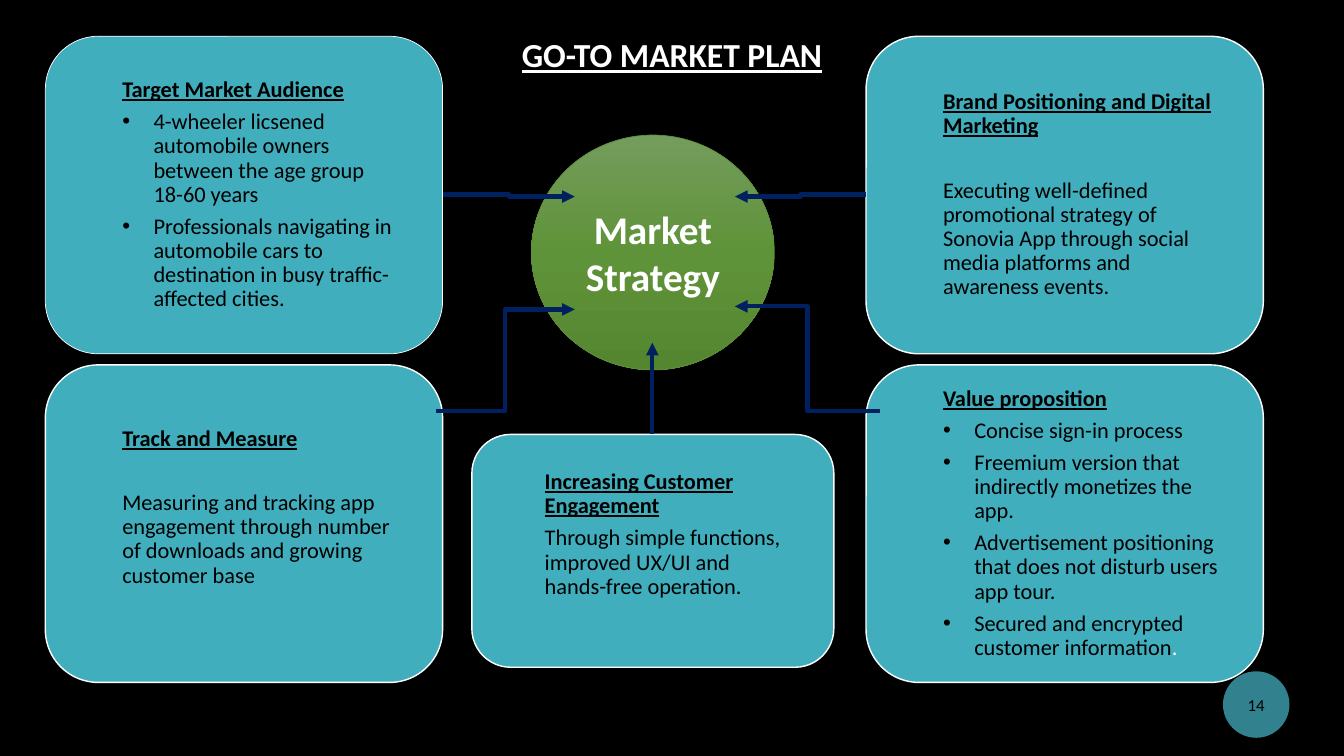
from copy import deepcopy
from dataclasses import dataclass

from lxml import etree
from pptx import Presentation
from pptx.dml.color import RGBColor as RGB
from pptx.enum.shapes import MSO_CONNECTOR as CONN, MSO_SHAPE as SHAPE
from pptx.enum.text import MSO_ANCHOR as ANCHOR, PP_ALIGN as ALIGN
from pptx.oxml.ns import qn
from pptx.util import Inches, Pt


@dataclass(frozen=True)
class Theme:
    font: str = "Calibri"
    background: RGB = RGB(0x00, 0x00, 0x00)
    dark: RGB = RGB(0x00, 0x00, 0x00)
    light: RGB = RGB(0xFF, 0xFF, 0xFF)
    card: RGB = RGB(0x41, 0xAE, 0xBD)
    badge: RGB = RGB(0x31, 0x82, 0x8E)
    arrow: RGB = RGB(0x00, 0x20, 0x60)
    hub_line: RGB = RGB(0x60, 0x8F, 0x3D)
    hub_stops: tuple = (
        (0, RGB(0x74, 0x9C, 0x5C)),
        (0.5, RGB(0x5F, 0x93, 0x39)),
        (1, RGB(0x54, 0x86, 0x2F)),
    )
    title: int = 24
    hub: int = 28
    body: int = 16
    number: int = 12


theme = Theme()


def add_run(p, text, size, color, bold=False, underline=False):
    r = p.add_run()
    r.text = text
    r.font.name = theme.font
    r.font.size = Pt(size)
    r.font.color.rgb = color
    r.font.bold = bold
    r.font.underline = underline


def add_shape(kind, x, y, w, h, fill=None, line=None, width=1):
    sp = s.shapes.add_shape(kind, Inches(x), Inches(y), Inches(w), Inches(h))
    sp.shadow.inherit = False
    if fill is not None:
        sp.fill.solid()
        sp.fill.fore_color.rgb = fill
    if line is None:
        sp.line.fill.background()
    else:
        sp.line.color.rgb = line
        sp.line.width = Pt(width)
    tf = sp.text_frame
    tf.word_wrap = True
    tf.vertical_anchor = ANCHOR.MIDDLE
    return sp


prs = Presentation()
prs.slide_width, prs.slide_height = Inches(13.33), Inches(7.5)
s = prs.slides.add_slide(prs.slide_layouts[6])
s.background.fill.solid()
s.background.fill.fore_color.rgb = theme.background

# Page number
badge = add_shape(SHAPE.OVAL, 12.13, 6.66, 0.66, 0.66, theme.badge)
p = badge.text_frame.paragraphs[0]
p.alignment = ALIGN.CENTER
add_run(p, "14", theme.number, theme.dark)

# Cards: box, outline width, bottom inset, gap under heading, heading, bulleted, texts
left, right, top, bottom = 0.45, 8.59, 0.36, 3.62
card_w, card_h = 3.94, 3.15
small_gap, wide_gap = 5.6, 28.6
cards = [
    ((left, top, card_w, card_h), 0.5, 0.15, small_gap, "Target Market Audience", True, [
        "4-wheeler licsened automobile owners between the age group 18-60 years",
        "Professionals navigating in automobile cars to destination in busy "
        "traffic-affected cities.",
    ]),
    ((left, bottom, card_w, card_h), 1, 0.47, wide_gap, "Track and Measure", False, [
        "Measuring and tracking app engagement through number of downloads "
        "and growing customer base",
    ]),
    ((right, top, card_w, card_h), 1, 0.15, wide_gap,
     "Brand Positioning and Digital Marketing", False, [
        "Executing well-defined promotional strategy of Sonovia App through "
        "social media platforms and awareness events.",
    ]),
    ((right, bottom, card_w, card_h), 1, 0.15, small_gap, "Value proposition", True, [
        "Concise sign-in process",
        "Freemium version that indirectly monetizes the app.",
        "Advertisement positioning that does not disturb users app tour.",
        "Secured and encrypted customer information",
    ]),
    ((4.68, 4.31, 3.59, 2.31), 1, 0.47, small_gap, "Increasing Customer Engagement", False, [
        "Through simple functions, improved UX/UI and hands-free operation.",
    ]),
]
for box, width, inset_bottom, gap, heading, bulleted, texts in cards:
    card = add_shape(SHAPE.ROUNDED_RECTANGLE, *box, theme.card, theme.light, width)
    tf = card.text_frame
    tf.margin_left, tf.margin_right = Inches(0.61), Inches(0.29)
    tf.margin_top, tf.margin_bottom = Inches(0.15), Inches(inset_bottom)
    for i, text in enumerate([heading] + texts):
        is_heading = i == 0
        p = tf.paragraphs[0] if is_heading else tf.add_paragraph()
        p.alignment = ALIGN.LEFT
        p.line_spacing = 0.9
        p.space_after = Pt(gap if is_heading else small_gap)
        if bulleted and not is_heading:
            pPr = p._p.get_or_add_pPr()
            pPr.set("marL", str(Inches(0.31)))
            pPr.set("indent", str(-Inches(0.31)))
            etree.SubElement(pPr, qn("a:buFont")).set("typeface", "Arial")
            etree.SubElement(pPr, qn("a:buChar")).set("char", "•")
        add_run(p, text, theme.body, theme.dark, is_heading, is_heading)
        if text.startswith("Secured"):
            add_run(p, ".", theme.body, theme.light)

# Central circle
hub = add_shape(SHAPE.OVAL, 5.27, 1.34, 2.41, 2.33, line=theme.hub_line, width=0.5)
hub.fill.gradient()
hub.fill.gradient_angle = 270
stop_list = hub._element.spPr.find(qn("a:gradFill")).find(qn("a:gsLst"))
stop_list.append(deepcopy(stop_list[0]))
for stop, (position, color) in zip(hub.fill.gradient_stops, theme.hub_stops):
    stop.position = position
    stop.color.rgb = color
p = hub.text_frame.paragraphs[0]
p.alignment = ALIGN.CENTER
add_run(p, "Market Strategy", theme.hub, theme.light, True)

# Arrows from the cards to the circle
arrows = [
    (CONN.ELBOW, 4.39, 1.93, 5.7, 1.95),
    (CONN.ELBOW, 8.59, 1.93, 7.29, 1.95),
    (CONN.ELBOW, 4.32, 4.08, 5.7, 3.07),
    (CONN.ELBOW, 8.73, 4.08, 7.29, 3.04),
    (CONN.STRAIGHT, 6.47, 4.31, 6.47, 3.4),
]
for kind, *ends in arrows:
    arrow = s.shapes.add_connector(kind, *[Inches(v) for v in ends])
    arrow.line.color.rgb = theme.arrow
    arrow.line.width = Pt(3)
    etree.SubElement(arrow.line._get_or_add_ln(), qn("a:tailEnd")).set("type", "triangle")
    etree.SubElement(arrow._element.spPr, qn("a:effectLst"))

# Title
title = s.shapes.add_textbox(Inches(0), Inches(0.29), Inches(13.33), Inches(0.5))
tf = title.text_frame
tf.word_wrap = True
tf.vertical_anchor = ANCHOR.MIDDLE
p = tf.paragraphs[0]
p.alignment = ALIGN.CENTER
add_run(p, "GO-TO MARKET PLAN", theme.title, theme.light, True, True)

prs.save("out.pptx")
